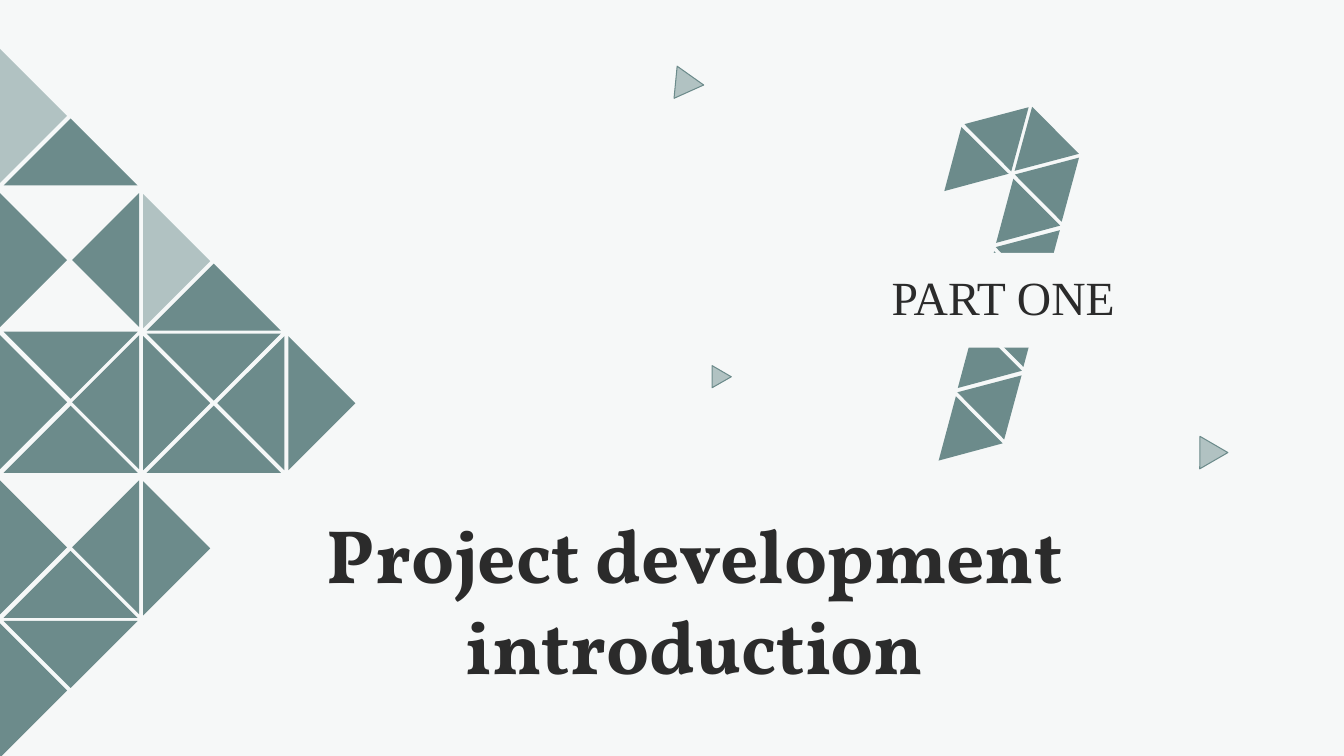
"""Build the section slide with a mosaic, a tiled digit and a heading."""
from typing import NamedTuple

from pptx import Presentation
from pptx.dml.color import RGBColor
from pptx.enum.shapes import MSO_SHAPE
from pptx.enum.text import MSO_ANCHOR, MSO_AUTO_SIZE, PP_ALIGN
from pptx.util import Inches, Pt

PALE = RGBColor(0xF6, 0xF8, 0xF8)
TEAL = RGBColor(0x6C, 0x8B, 0x8B)
MIST = RGBColor(0xB1, 0xC2, 0xC2)
INK = RGBColor(0x2B, 0x2B, 0x2B)
EVEN = MSO_SHAPE.ISOSCELES_TRIANGLE
RIGHT = MSO_SHAPE.RIGHT_TRIANGLE
RECT = MSO_SHAPE.RECTANGLE
MIDDLE, TOP = MSO_ANCHOR.MIDDLE, MSO_ANCHOR.TOP
CENTER = PP_ALIGN.CENTER
FIXED, GROW = MSO_AUTO_SIZE.NONE, MSO_AUTO_SIZE.SHAPE_TO_FIT_TEXT


class Tile(NamedTuple):
    left: float
    top: float
    width: float
    height: float
    turn: float = 0
    fill: RGBColor = TEAL
    kind: MSO_SHAPE = EVEN


class Stack(NamedTuple):
    left: float
    turn: int
    tops: tuple[float, ...]
    fill: RGBColor = TEAL


SIDE, RISE, EDGE = 0.66, 0.57, 0.94
STEP_X, STEP_Y = -0.19, 0.72
HOOK = [(9.28, 1.25, 344.9), (9.67, 0.98, 45.2), (9.98, 1.05, 345.2)]
STEM = [(10.17, 1.48, 45.2), (9.91, 1.88, 105)]
CHIPS = [
    Tile(6.68, 0.69, 0.32, 0.28, 95.6, MIST),
    Tile(11.81, 4.39, 0.32, 0.28, 210.2, MIST),
    Tile(7, 3.67, 0.22, 0.19, 210.2, MIST),
]
STACKS = [
    Stack(-0.47, 225, (0.68,), MIST),
    Stack(-0.47, 225, (2.11, 3.52, 4.96, 6.38)),
    Stack(0.23, 135, (1.37, 4.22, 5.66)),
    Stack(0.23, 315, (2.82, 5.69)),
    Stack(0.91, 45, (2.11, 3.52, 4.96)),
    Stack(0.95, 225, (2.12,), MIST),
    Stack(0.95, 225, (3.53, 4.97)),
    Stack(1.65, 135, (2.81, 4.22)),
    Stack(1.65, 315, (2.84,)),
    Stack(2.35, 45, (3.53,)),
    Stack(2.39, 225, (3.53,)),
]


def apply(item, form: dict) -> None:
    for name, value in form.items():
        setattr(item, name, value)


def draw(shapes, tile: Tile):
    box = [Inches(n) for n in tile[:4]]
    shape = shapes.add_shape(tile.kind, *box)
    shape.rotation = tile.turn
    shape.shadow.inherit = False
    shape.fill.solid()
    shape.fill.fore_color.rgb = tile.fill
    shape.line.fill.background()
    return shape


def write(shape, lines: list[str], frame: dict, para: dict, font: dict) -> None:
    text = shape.text_frame
    text.text = "\n".join(lines)
    apply(text, frame)
    for line in text.paragraphs:
        apply(line, para)
        face = line.runs[0].font
        apply(face, font)
        face.color.rgb = INK


def add_digit(shapes) -> None:
    group = shapes.add_group_shape().shapes
    stem = [
        (x + i * STEP_X, y + i * STEP_Y, turn)
        for i in range(4)
        for x, y, turn in STEM
    ]
    for x, y, turn in HOOK + stem:
        draw(group, Tile(x, y, SIDE, RISE, turn))


def add_chips(shapes) -> None:
    for chip in CHIPS:
        line = draw(shapes, chip).line
        line.color.rgb = TEAL
        line.width = Pt(0.75)


def add_mosaic(shapes) -> None:
    group = shapes.add_group_shape().shapes
    for left, turn, tops, fill in STACKS:
        for top in tops:
            draw(group, Tile(left, top, EDGE, EDGE, turn, fill, RIGHT))


def main() -> None:
    deck = Presentation()
    deck.slide_width, deck.slide_height = Inches(13.33), Inches(7.5)
    slide = deck.slides.add_slide(deck.slide_layouts[5])
    slide.background.fill.solid()
    slide.background.fill.fore_color.rgb = PALE
    shapes = slide.shapes

    add_digit(shapes)
    add_chips(shapes)
    band = draw(shapes, Tile(8.52, 2.51, 2.86, 0.94, fill=PALE, kind=RECT))
    write(
        band,
        ["PART ONE"],
        {"vertical_anchor": MIDDLE, "word_wrap": True, "auto_size": FIXED},
        {"alignment": CENTER, "line_spacing": 0.9},
        {"name": "Times New Roman", "size": Pt(34)},
    )
    title = shapes.title
    place = {"left": 3.13, "top": 4.99, "width": 7.52, "height": 1.92}
    apply(title, {name: Inches(n) for name, n in place.items()})
    write(
        title,
        ["Project development", "introduction"],
        {"vertical_anchor": TOP, "word_wrap": False, "auto_size": GROW},
        {"alignment": CENTER},
        {"name": "Vollkorn", "size": Pt(54), "bold": True},
    )
    add_mosaic(shapes)
    deck.save("out.pptx")


if __name__ == "__main__":
    main()
